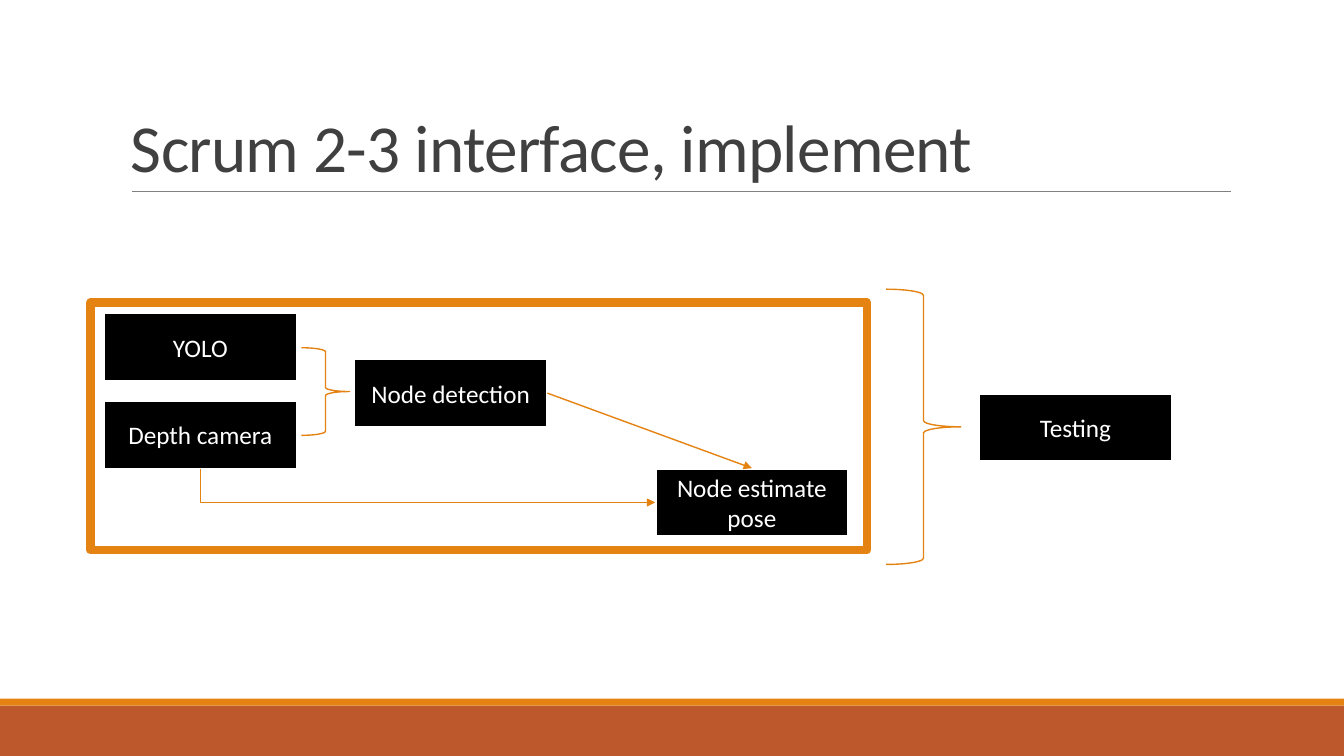
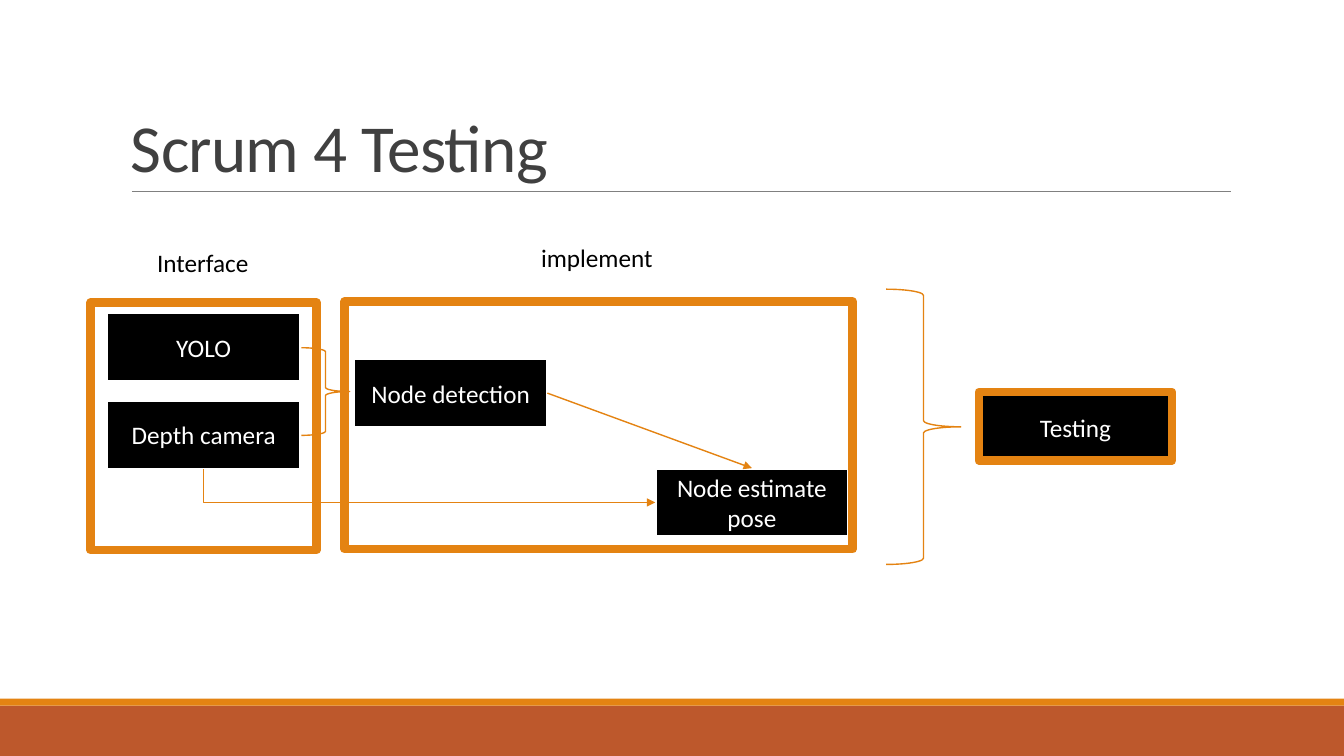
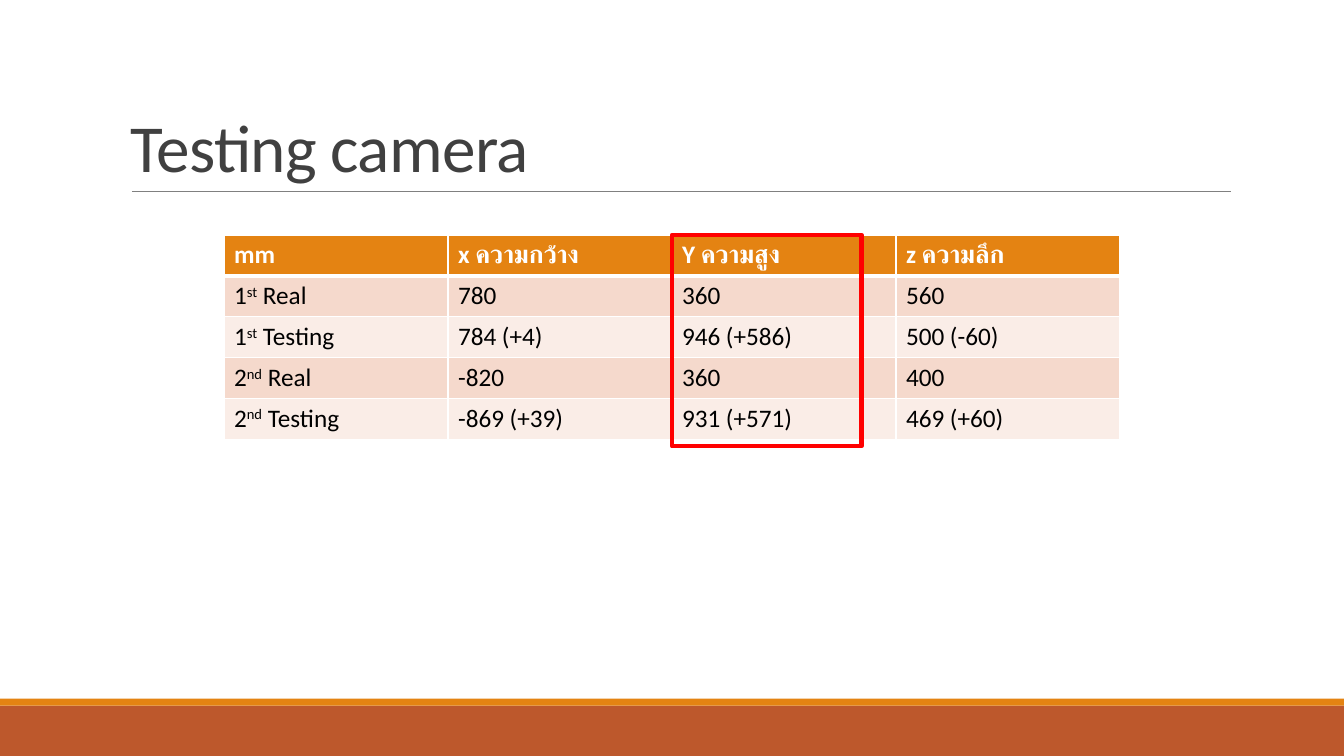
"""Builds three slides on scrum steps and camera testing."""
from lxml.etree import SubElement
from pptx import Presentation
from pptx.dml.color import RGBColor
from pptx.enum.shapes import MSO_CONNECTOR as LINK, MSO_SHAPE as SHAPE
from pptx.enum.text import MSO_ANCHOR as ANCHOR, PP_ALIGN as ALIGN
from pptx.oxml import parse_xml
from pptx.oxml.ns import nsdecls, qn
from pptx.util import Pt

rgb = RGBColor.from_string
FONT = "Calibri"
ORANGE, RUST, WHITE, BLACK = "E48312", "BD582C", "FFFFFF", "000000"
DARK, GREY, RED = "404040", "808080", "FF0000"
HEADER_LINE = 3


def style(item, fill=None, line=None, width=1, arrow=False):
    """Set fill, outline and arrowhead of a shape or connector, without shadow."""
    if hasattr(item, "fill"):
        item.shadow.inherit = False
        if fill:
            item.fill.solid()
            item.fill.fore_color.rgb = rgb(fill)
        else:
            item.fill.background()
    else:
        SubElement(item._element.spPr, qn("a:effectLst"))
    if line:
        item.line.color.rgb = rgb(line)
        item.line.width = Pt(width)
    else:
        item.line.fill.background()
    if arrow:
        SubElement(item.line._get_or_add_ln(), qn("a:tailEnd"), type="triangle")
    return item


def write(frame, text, size=18, color=BLACK, bold=False, align=ALIGN.LEFT,
          anchor=ANCHOR.TOP, wrap=True, leading=None, spacing=None):
    """Write one paragraph; text between carets is superscript."""
    frame.word_wrap = wrap
    frame.vertical_anchor = anchor
    para = frame.paragraphs[0]
    para.alignment = align
    para.line_spacing = leading
    for index, piece in enumerate(text.split("^")):
        span = para.add_run()
        span.text = piece
        span.font.name = FONT
        span.font.size = Pt(size)
        span.font.bold = bold
        span.font.color.rgb = rgb(color)
        if index % 2:
            span._r.get_or_add_rPr().set("baseline", "30000")
        if spacing:
            span._r.get_or_add_rPr().set("spc", str(int(spacing * 100)))


deck = Presentation()
deck.slide_width, deck.slide_height = Pt(960), Pt(540)

pages = []
for title in ("Scrum 2-3 interface, implement", "Scrum 4 Testing", "Testing camera"):
    page = deck.slides.add_slide(deck.slide_layouts[6])
    for top, height, color in ((504, 36, RUST), (499, 5, ORANGE)):
        band = page.shapes.add_shape(SHAPE.RECTANGLE, 0, Pt(top), Pt(960), Pt(height))
        style(band, color)
    rule = page.shapes.add_connector(LINK.STRAIGHT, Pt(94.3), Pt(136.8), Pt(879.1), Pt(136.8))
    style(rule, line=GREY, width=0.5)
    box = page.shapes.add_textbox(Pt(86.4), Pt(22.5), Pt(792), Pt(114.2))
    write(box.text_frame, title, size=48, color=DARK, anchor=ANCHOR.BOTTOM,
          leading=0.85, spacing=-0.5)
    pages.append(page)

NODE_WIDTH, NODE_HEIGHT = 138.2, 49
BRACES = ((633, 206.6, 53.3, 196.6), (215.2, 248.4, 34.6, 62.6))
diagrams = (
    (pages[0], 74, [(64.8, 216, 554.4, 177.1)], []),
    (pages[1], 76.4,
     [(64.8, 216, 161.3, 177.1), (246.2, 215.3, 362.9, 177.1),
      (699.1, 280, NODE_WIDTH, NODE_HEIGHT)],
     [("Interface", 105.1, 172.8, 80.6), ("implement", 379.4, 169.2, 95.8)]),
)
for page, source_left, frames, labels in diagrams:
    nodes = {}
    for name, left, top in (
        ("Depth camera", source_left, 286),
        ("YOLO", source_left, 223.4),
        ("Node detection", 252.8, 256.3),
        ("Node estimate pose", 468, 334.4),
        ("Testing", 699.1, 280.8),
    ):
        node = page.shapes.add_shape(SHAPE.RECTANGLE, Pt(left), Pt(top),
                                     Pt(NODE_WIDTH), Pt(NODE_HEIGHT))
        style(node, BLACK, WHITE, 2)
        write(node.text_frame, name, color=WHITE, align=ALIGN.CENTER, anchor=ANCHOR.MIDDLE)
        nodes[name] = node

    arrow = page.shapes.add_connector(LINK.STRAIGHT, 0, 0, 0, 0)
    arrow.begin_connect(nodes["Node detection"], 3)
    arrow.end_connect(nodes["Node estimate pose"], 0)
    style(arrow, line=ORANGE, arrow=True)

    camera, pose = nodes["Depth camera"], nodes["Node estimate pose"]
    start_x, start_y = camera.left + camera.width // 2, camera.top + camera.height
    end_x, end_y = pose.left, pose.top + pose.height // 2
    across, down = end_x - start_x, end_y - start_y
    left = (start_x + end_x - down) // 2
    top = (start_y + end_y - across) // 2
    bend = page.shapes.add_connector(LINK.ELBOW, left + down, top, left, top + across)
    bend._element.spPr.find(qn("a:xfrm")).set("rot", "16200000")
    bend._element.spPr.find(qn("a:prstGeom")).set("prst", "bentConnector2")
    style(bend, line=ORANGE, arrow=True)

    for kind, places, width in ((SHAPE.RIGHT_BRACE, BRACES, 1), (SHAPE.RECTANGLE, frames, 6)):
        for place in places:
            style(page.shapes.add_shape(kind, *map(Pt, place)), line=ORANGE, width=width)
    for text, left, top, width in labels:
        box = page.shapes.add_textbox(Pt(left), Pt(top), Pt(width), Pt(29))
        write(box.text_frame, text, wrap=False)

ROWS = (
    ("mm", "x ความกว้าง", "Y ความสูง", "z ความลึก"),
    ("1^st^ Real", "780", "360", "560"),
    ("1^st^ Testing", "784 (+4)", "946 (+586)", "500 (-60)"),
    ("2^nd^ Real", "-820", "360", "400"),
    ("2^nd^ Testing", "-869 (+39)", "931 (+571)", "469 (+60)"),
)
page = pages[2]
table = page.shapes.add_table(5, 4, Pt(160), Pt(167.8), Pt(640), Pt(146)).table
for row, texts in enumerate(ROWS):
    header = row == 0
    fill = ORANGE if header else ("FAEDE7", "F5D9CC")[row % 2]
    borders = {"lnL": 1, "lnR": 1, "lnT": HEADER_LINE if row == 1 else 1,
               "lnB": HEADER_LINE if header else 1}
    for column, text in enumerate(texts):
        cell = table.cell(row, column)
        cell.fill.solid()
        cell.fill.fore_color.rgb = rgb(fill)
        write(cell.text_frame, text, color=WHITE if header else BLACK, bold=header)
        for index, (side, width) in enumerate(borders.items()):
            cell._tc.tcPr.insert(index, parse_xml(
                f'<a:{side} {nsdecls("a")} w="{Pt(width)}"><a:solidFill>'
                f'<a:srgbClr val="{WHITE}"/></a:solidFill></a:{side}>'))

highlight = page.shapes.add_shape(SHAPE.RECTANGLE, Pt(480), Pt(167.8), Pt(135.5), Pt(151))
style(highlight, line=RED, width=3)

deck.save("out.pptx")
